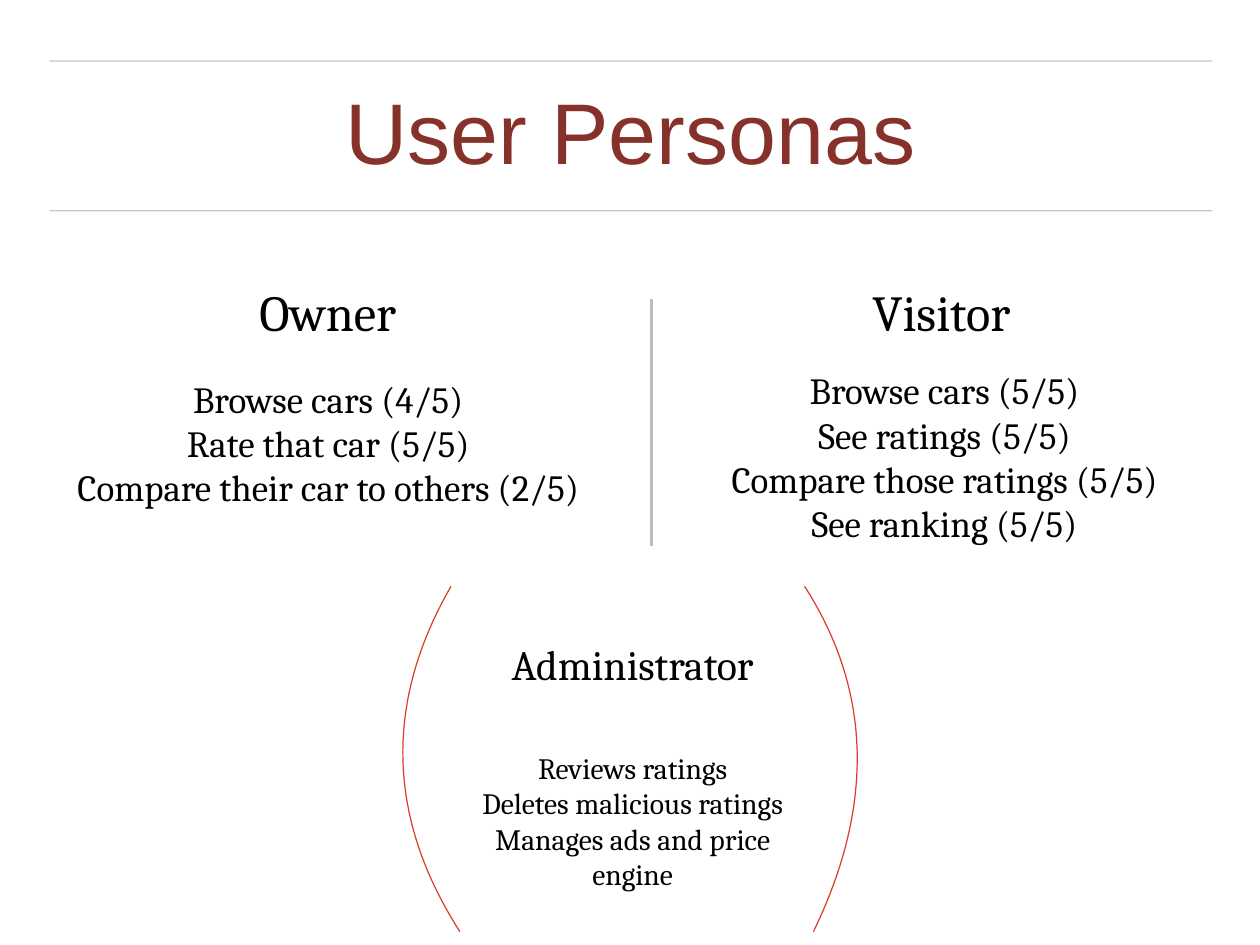
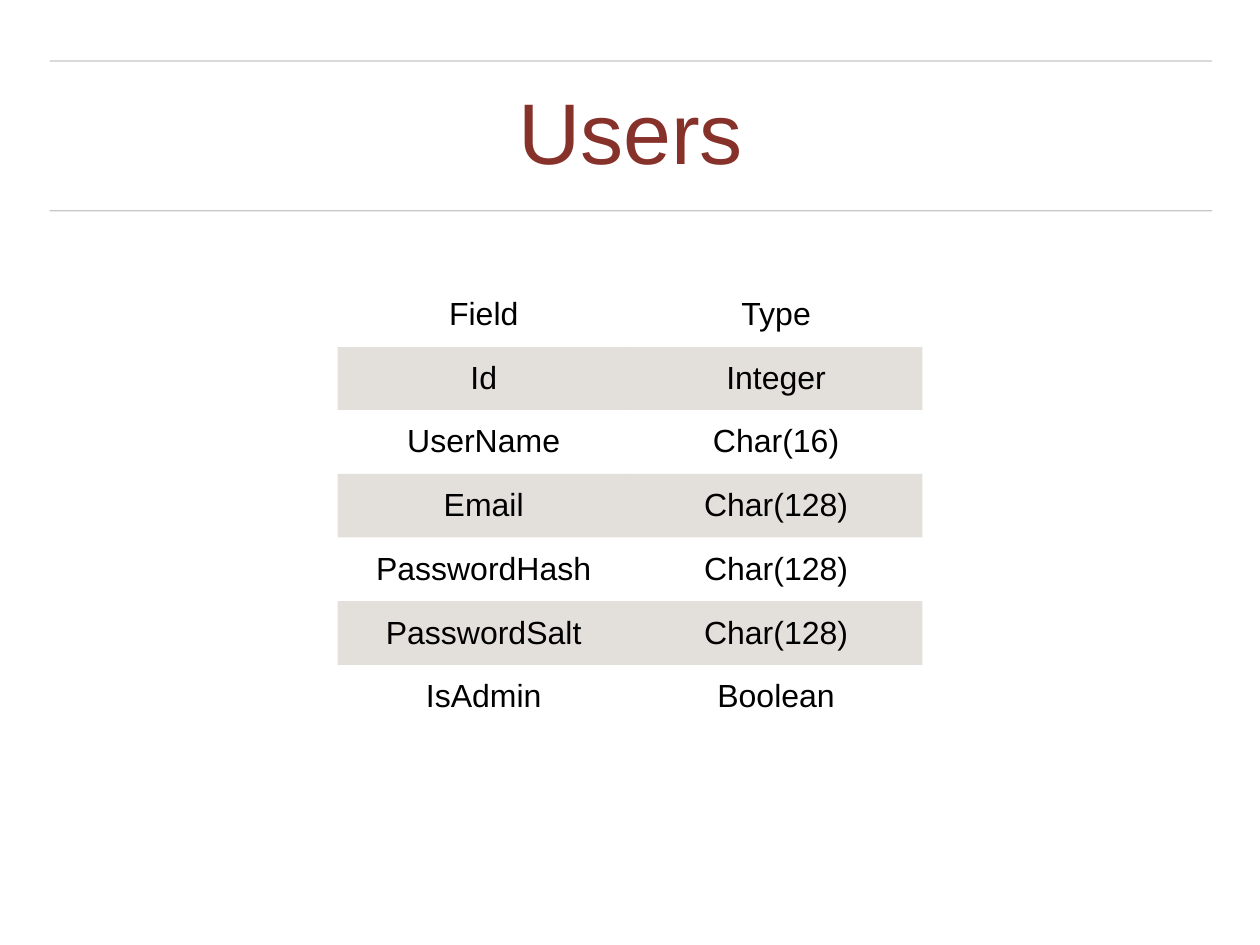
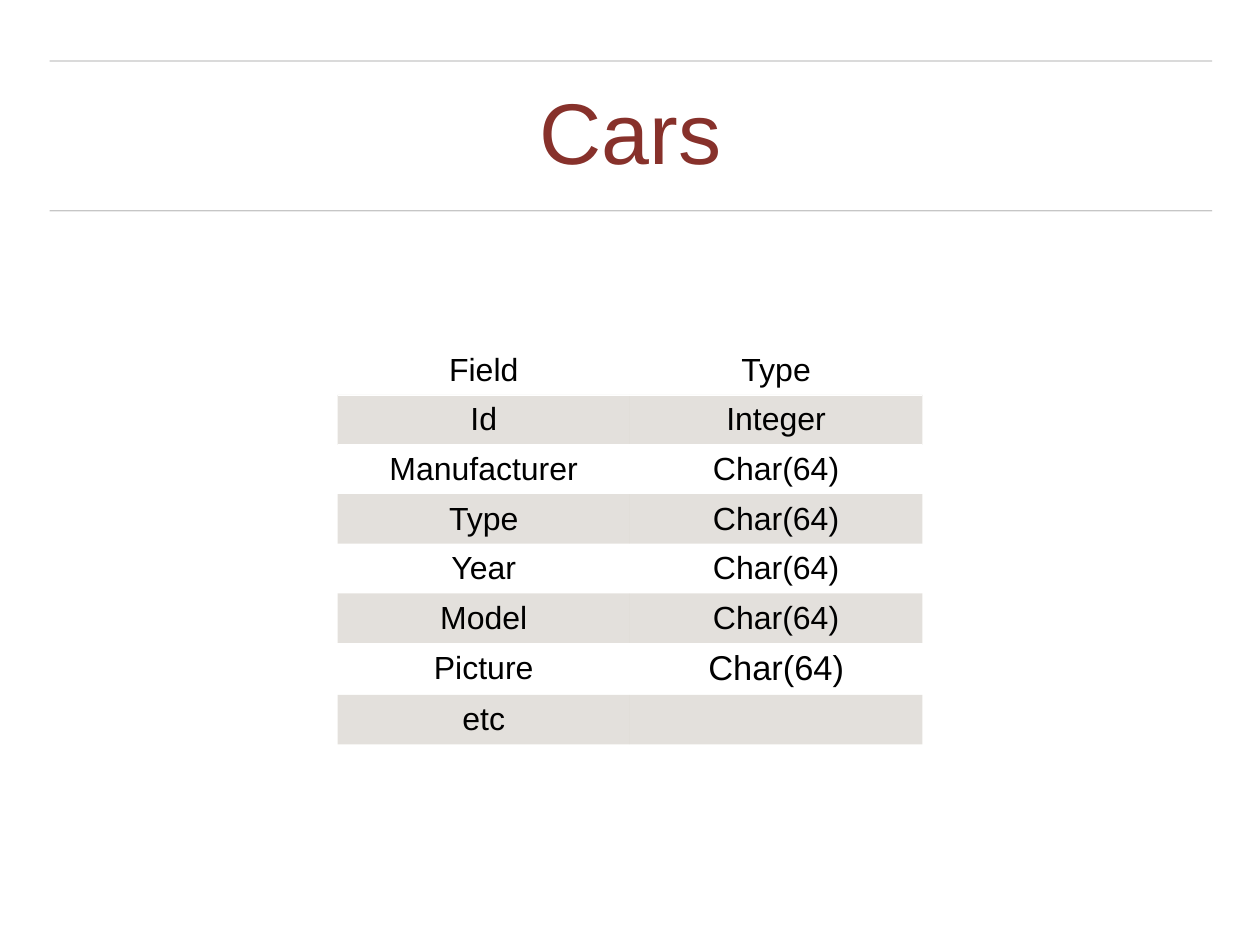
from dataclasses import dataclass
from typing import NamedTuple

from lxml import etree
from pptx import Presentation
from pptx.dml.color import RGBColor
from pptx.enum import shapes, text
from pptx.oxml import ns
from pptx.util import Inches, Pt


# Theme: colours, fonts and type sizes
@dataclass(frozen=True)
class Theme:
    title: str = "87312B"
    body: str = "000000"
    rule: str = "444444"
    divider: str = "C1BEB7"
    bracket: str = "D93E2B"
    band: str = "C9C3BA"
    header_edge: str = "FFFFFF"
    sans: str = "Arial"
    serif: str = "Cambria"
    title_size: int = 70
    cell_size: int = 26
    large_cell_size: int = 28
    role_size: int = 41
    task_size: int = 30
    admin_size: int = 34
    admin_task_size: int = 24
    inset: float = 0.06


THEME = Theme()
PLAIN_TABLE_STYLE = "{2D5ABB26-0587-4C30-8999-92F81FD0307C}"


class Point(NamedTuple):
    x: float
    y: float


class Area(NamedTuple):
    left: float
    top: float
    width: float
    height: float

    def lengths(self) -> list:
        return [Inches(value) for value in self]


class Style(NamedTuple):
    font: str
    size: int
    color: str


TITLE = Style(THEME.sans, THEME.title_size, THEME.title)
CELL = Style(THEME.sans, THEME.cell_size, THEME.body)
LARGE_CELL = Style(THEME.sans, THEME.large_cell_size, THEME.body)


@dataclass(frozen=True)
class PersonaText:
    area: Area
    size: int
    lines: tuple[str, ...]


@dataclass(frozen=True)
class FieldTable:
    title: str
    top: float
    row_height: float
    rows: tuple[tuple[str, str], ...]
    large_cells: tuple[tuple[int, int], ...] = ()


# Content
PERSONAS = (
    PersonaText(Area(8.12, 3.09, 5.01, 0.86), THEME.role_size, ("Visitor",)),
    PersonaText(Area(7.75, 3.99, 5.82, 2.33), THEME.task_size, (
        "Browse cars (5/5)", "See ratings (5/5)",
        "Compare those ratings (5/5)", "See ranking (5/5)")),
    PersonaText(Area(5.41, 7.13, 3.46, 0.72), THEME.admin_size, ("Administrator",)),
    PersonaText(Area(5.17, 8.1, 3.94, 2.33), THEME.admin_task_size, (
        "Reviews ratings", "Deletes malicious ratings",
        "Manages ads and price engine")),
    PersonaText(Area(0.46, 4.11, 6.49, 1.78), THEME.task_size, (
        "Browse cars (4/5)", "Rate that car (5/5)",
        "Compare their car to others (2/5)")),
    PersonaText(Area(0.88, 3.09, 5.64, 0.86), THEME.role_size, ("Owner",)),
)

# Bezier control points of the curves around the administrator
BRACKETS = (
    (Point(5.19, 10.52), Point(4.37, 9.24), Point(4.33, 7.94), Point(5.09, 6.62)),
    (Point(9.18, 10.52), Point(9.87, 9.1), Point(9.84, 7.8), Point(9.08, 6.62)),
)

FIELD_TABLES = (
    FieldTable("Users", 3.19, 0.72, (
        ("Field", "Type"), ("Id", "Integer"), ("UserName", "Char(16)"),
        ("Email", "Char(128)"), ("PasswordHash", "Char(128)"),
        ("PasswordSalt", "Char(128)"), ("IsAdmin", "Boolean"))),
    FieldTable("Cars", 3.9, 0.56, (
        ("Field", "Type"), ("Id", "Integer"), ("Manufacturer", "Char(64)"),
        ("Type", "Char(64)"), ("Year", "Char(64)"), ("Model", "Char(64)"),
        ("Picture", "Char(64)"), ("etc", "")), large_cells=((6, 1),)),
)


# Drawing helpers
def set_alpha(element, percent: int) -> None:
    for color in element.iter(ns.qn("a:srgbClr")):
        etree.SubElement(color, ns.qn("a:alpha"), val=str(percent * 1000))


def add_text(paragraph, content: str, style: Style) -> None:
    paragraph.alignment = text.PP_ALIGN.CENTER
    run = paragraph.add_run()
    run.text = content
    run.font.name = style.font
    run.font.size = Pt(style.size)
    run.font.color.rgb = RGBColor.from_string(style.color)


def add_text_box(slide, area: Area, lines: tuple[str, ...], style: Style, inset: float):
    frame = slide.shapes.add_textbox(*area.lengths()).text_frame
    frame.word_wrap = True
    frame.vertical_anchor = text.MSO_ANCHOR.MIDDLE
    frame.margin_left = frame.margin_right = Inches(inset)
    frame.margin_top = frame.margin_bottom = Inches(inset)
    for index, line in enumerate(lines):
        paragraph = frame.add_paragraph() if index else frame.paragraphs[0]
        add_text(paragraph, line, style)
    return frame


def add_line(slide, start: Point, end: Point, color: str, width: float):
    line = slide.shapes.add_connector(
        shapes.MSO_CONNECTOR.STRAIGHT, *(Inches(value) for value in (*start, *end)))
    line.line.color.rgb = RGBColor.from_string(color)
    line.line.width = Pt(width)
    etree.SubElement(line._element.spPr, ns.qn("a:effectLst"))
    return line


def add_curve(slide, controls: tuple[Point, ...], color: str, steps: int = 40) -> None:
    def at(t: float) -> tuple:
        weights = ((1 - t) ** 3, 3 * t * (1 - t) ** 2, 3 * t * t * (1 - t), t ** 3)
        return tuple(Inches(sum(w * value for w, value in zip(weights, axis)))
                     for axis in zip(*controls))

    builder = slide.shapes.build_freeform(*at(0))
    builder.add_line_segments([at(i / steps) for i in range(1, steps + 1)], close=False)
    curve = builder.convert_to_shape()
    curve.shadow.inherit = False
    curve.fill.background()
    curve.line.color.rgb = RGBColor.from_string(color)
    curve.line.width = Pt(1)


def add_cell_edge(cell, side: str) -> None:
    edge = etree.Element(ns.qn(f"a:ln{side}"), w=str(int(Pt(0.5))))
    fill = etree.SubElement(edge, ns.qn("a:solidFill"))
    etree.SubElement(fill, ns.qn("a:srgbClr"), val=THEME.header_edge)
    cell._tc.get_or_add_tcPr().insert(0, edge)


def add_field_table(slide, content: FieldTable) -> None:
    column_width, columns = 3.3, 2
    count = len(content.rows)
    area = Area(3.81, content.top, column_width * columns, content.row_height * count)
    table = slide.shapes.add_table(count, columns, *area.lengths()).table
    table.first_row = table.horz_banding = False
    table._tbl.tblPr.find(ns.qn("a:tableStyleId")).text = PLAIN_TABLE_STYLE
    for column in table.columns:
        column.width = Inches(column_width)
    for r, values in enumerate(content.rows):
        table.rows[r].height = Inches(content.row_height)
        for c, value in enumerate(values):
            cell = table.cell(r, c)
            cell.vertical_anchor = text.MSO_ANCHOR.MIDDLE
            cell.margin_left = cell.margin_right = Inches(THEME.inset)
            cell.margin_top = cell.margin_bottom = Inches(THEME.inset)
            if r % 2:
                cell.fill.solid()
                cell.fill.fore_color.rgb = RGBColor.from_string(THEME.band)
                set_alpha(cell._tc.tcPr, 50)
            else:
                cell.fill.background()
            if r < 2:
                add_cell_edge(cell, "T" if r else "B")
            if value:
                style = LARGE_CELL if (r, c) in content.large_cells else CELL
                add_text(cell.text_frame.paragraphs[0], value, style)


# Shared slide frame: two rules and the title between them
def add_titled_slide(deck, title: str):
    slide = deck.slides.add_slide(deck.slide_layouts[6])
    for y in (2.38, 0.69):
        rule = add_line(slide, Point(0.56, y), Point(13.68, y), THEME.rule, 1)
        set_alpha(rule._element.spPr, 30)
    frame = add_text_box(slide, Area(0.56, 0.88, 13.11, 1.33), (title,), TITLE, 0)
    frame.paragraphs[0].line_spacing = 0.9
    frame.paragraphs[0].space_before = Pt(16)
    return slide


def add_personas_slide(deck) -> None:
    slide = add_titled_slide(deck, "User Personas")
    for persona in PERSONAS:
        style = Style(THEME.serif, persona.size, THEME.body)
        add_text_box(slide, persona.area, persona.lines, style, THEME.inset)
    for bracket in BRACKETS:
        add_curve(slide, bracket, THEME.bracket)
    add_line(slide, Point(7.35, 6.16), Point(7.35, 3.38), THEME.divider, 2)


def main() -> None:
    deck = Presentation()
    deck.slide_width, deck.slide_height = Inches(14.22), Inches(10.67)
    add_personas_slide(deck)
    for content in FIELD_TABLES:
        add_field_table(add_titled_slide(deck, content.title), content)
    deck.save("out.pptx")


if __name__ == "__main__":
    main()
